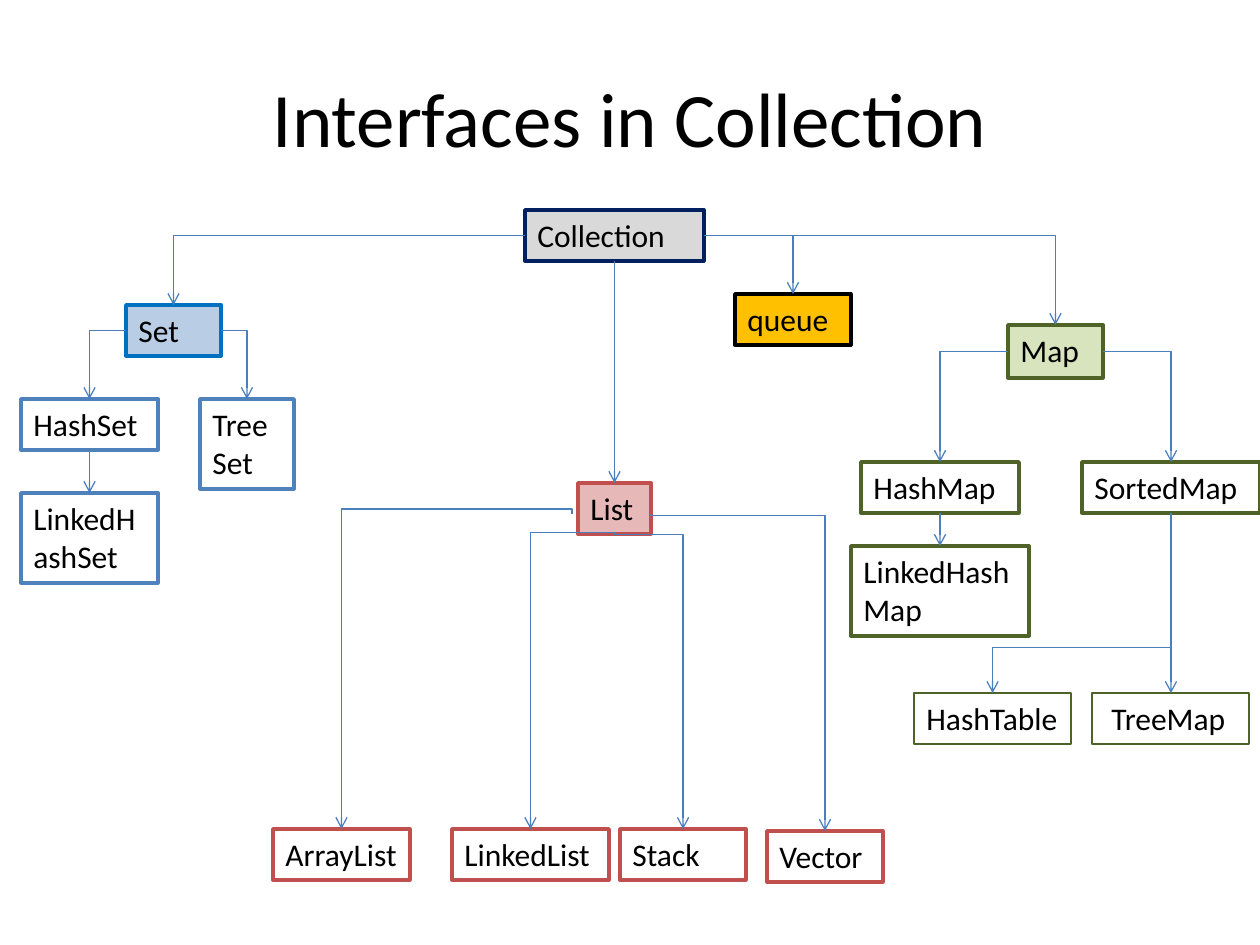
import pptx
import pptx.dml.color
import pptx.enum.shapes
import pptx.enum.text
import pptx.oxml
import pptx.oxml.ns
import pptx.util

RGB = pptx.dml.color.RGBColor
BLACK = RGB(0x00, 0x00, 0x00)
WHITE = RGB(0xFF, 0xFF, 0xFF)
GREY = RGB(0xD9, 0xD9, 0xD9)
NAVY = RGB(0x00, 0x20, 0x60)
SKY = RGB(0xB9, 0xCD, 0xE5)
AZURE = RGB(0x00, 0x70, 0xC0)
BLUE = RGB(0x4F, 0x81, 0xBD)
PINK = RGB(0xE6, 0xB9, 0xB8)
RED = RGB(0xC0, 0x50, 0x4D)
LIME = RGB(0xD7, 0xE4, 0xBD)
GREEN = RGB(0x4F, 0x62, 0x28)
GOLD = RGB(0xFF, 0xC0, 0x00)
STEEL = RGB(0x4B, 0x7E, 0xBC)

SCALE = 914400 / 126
LOW, HIGH = 51, 90
THIN, THICK = 0.75, 2

# label, left, top, width, height, fill, line, weight
NODES = [
    ("Collection", 525, 210, 179, LOW, GREY, NAVY, THICK),
    ("Set", 126, 305, 95, LOW, SKY, AZURE, THICK),
    ("List", 578, 483, 73, LOW, PINK, RED, THICK),
    ("Map", 1008, 325, 95, 53, LIME, GREEN, THICK),
    ("queue", 735, 294, 116, LOW, GOLD, BLACK, THICK),
    ("HashSet", 21, 399, 137, LOW, WHITE, BLUE, THICK),
    ("TreeSet", 200, 399, 94, HIGH, WHITE, BLUE, THICK),
    ("LinkedHashSet", 21, 493, 137, HIGH, WHITE, BLUE, THICK),
    ("ArrayList", 273, 829, 137, LOW, WHITE, RED, THICK),
    ("LinkedList", 452, 829, 157, LOW, WHITE, RED, THICK),
    ("Stack", 620, 829, 126, LOW, WHITE, RED, THICK),
    ("Vector", 767, 831, 116, LOW, WHITE, RED, THICK),
    ("HashMap", 861, 462, 158, LOW, WHITE, GREEN, THICK),
    ("SortedMap", 1082, 462, 178, LOW, WHITE, GREEN, THICK),
    ("LinkedHashMap", 851, 546, 178, HIGH, WHITE, GREEN, THICK),
    ("HashTable", 914, 693, 157, LOW, None, GREEN, THIN),
    (" TreeMap", 1092, 693, 157, LOW, None, GREEN, THIN),
]
BENDS = [
    ("Collection", "Set"), ("Collection", "Map"), ("Collection", "queue"),
    ("Set", "HashSet"), ("Set", "TreeSet"),
    ("Map", "HashMap"), ("Map", "SortedMap"),
]
DROPS = [
    ("Collection", "List"), ("HashSet", "LinkedHashSet"),
    ("HashMap", "LinkedHashMap"), ("SortedMap", " TreeMap"),
]
# start x, start y, child, share of the height where the line turns
FORKS = [
    (572, 514, "ArrayList", -0.016), (651, 514, "Vector", 0.004),
    (614, 534, "Stack", 0.002), (614, 534, "LinkedList", -0.005),
    (1171, 513, "HashTable", 0.748),
]


def px(num):
    """Turn pixels into EMU."""
    return pptx.util.Emu(round(num * SCALE))


def style(item, form):
    """Set each attribute in form on item."""
    for key, val in form.items():
        setattr(item, key, val)


def write(shape, text, size, frame):
    """Put formatted text into a shape."""
    style(shape.text_frame, frame)
    para = shape.text_frame.paragraphs[0]
    run = para.add_run()
    run.text = text
    style(run.font, {"size": pptx.util.Pt(size), "name": "Calibri"})
    run.font.color.rgb = BLACK
    return para


def head(slide, text):
    """Place and fill the title."""
    title = slide.shapes.title
    style(title, {"left": px(63), "top": px(38), "width": px(1134), "height": px(158)})
    para = write(title, text, 44, {"vertical_anchor": pptx.enum.text.MSO_ANCHOR.MIDDLE})
    para.alignment = pptx.enum.text.PP_ALIGN.CENTER


def node(slide, text, left, top, width, height, fill, line, weight):
    """Add one labelled box."""
    kind = pptx.enum.shapes.MSO_SHAPE.RECTANGLE
    box = slide.shapes.add_shape(kind, px(left), px(top), px(width), px(height))
    box.shadow.inherit = False
    if fill is None:
        box.fill.background()
    else:
        box.fill.solid()
        box.fill.fore_color.rgb = fill
    box.line.color.rgb = line
    box.line.width = pptx.util.Pt(weight)
    para = write(box, text, 18, {
        "word_wrap": True,
        "vertical_anchor": pptx.enum.text.MSO_ANCHOR.TOP,
        "auto_size": pptx.enum.text.MSO_AUTO_SIZE.SHAPE_TO_FIT_TEXT,
    })
    para.alignment = pptx.enum.text.PP_ALIGN.LEFT


def arrow(slide, ends, preset="line", turn=0, bend=None):
    """Add an arrow of a preset form, turned by some degrees."""
    kind = pptx.enum.shapes.MSO_CONNECTOR.STRAIGHT
    link = slide.shapes.add_connector(kind, *[px(end) for end in ends])
    link.line.color.rgb = STEEL
    link.line.width = pptx.util.Pt(THIN)
    props = link._element.spPr
    geom = props.find(pptx.oxml.ns.qn("a:prstGeom"))
    geom.set("prst", preset)
    if turn:
        props.find(pptx.oxml.ns.qn("a:xfrm")).set("rot", str(turn * 60000))
    if bend is not None:
        guide = pptx.oxml.parse_xml(
            '<a:gd %s name="adj1" fmla="val %d"/>'
            % (pptx.oxml.ns.nsdecls("a"), round(bend * 100000)))
        geom.find(pptx.oxml.ns.qn("a:avLst")).append(guide)
    tip = '<a:tailEnd %s type="arrow"/>' % pptx.oxml.ns.nsdecls("a")
    props.find(pptx.oxml.ns.qn("a:ln")).append(pptx.oxml.parse_xml(tip))
    plain = "<a:effectLst %s/>" % pptx.oxml.ns.nsdecls("a")
    props.append(pptx.oxml.parse_xml(plain))


def peak(box):
    """Return the middle of a box's top edge."""
    left, top, width = box[:3]
    return left + width / 2, top


def bend(slide, start, goal):
    """Run sideways out of one box, then down to another."""
    left, top, width, height = start
    mid = top + height / 2
    x, y = peak(goal)
    if x < left:
        arrow(slide, (x, y, left, mid), "bentConnector2", 180)
    else:
        arrow(slide, (left + width, mid, x, y), "bentConnector2")


def drop(slide, start, goal):
    """Run straight down from one box to another."""
    x, y = peak(start)
    arrow(slide, (x, y + start[3], x, goal[1]))


def fork(slide, x, y, goal, share):
    """Run down, across and down from a point to a box."""
    far, low = peak(goal)
    midx, midy = (x + far) / 2, (y + low) / 2
    halfw, halfh = (low - y) / 2, abs(far - x) / 2
    turn = 90
    if far > x:
        turn, halfw = 270, -halfw
    ends = (midx - halfw, midy - halfh, midx + halfw, midy + halfh)
    arrow(slide, ends, "bentConnector3", turn, share)


def main():
    """Build the slide and save it."""
    deck = pptx.Presentation()
    style(deck, {"slide_width": px(1260), "slide_height": px(945)})
    slide = deck.slides.add_slide(deck.slide_layouts[5])
    head(slide, "Interfaces in Collection")
    for item in NODES:
        node(slide, *item)
    boxes = {item[0]: item[1:5] for item in NODES}
    for start, goal in BENDS:
        bend(slide, boxes[start], boxes[goal])
    for start, goal in DROPS:
        drop(slide, boxes[start], boxes[goal])
    for x, y, goal, share in FORKS:
        fork(slide, x, y, boxes[goal], share)
    deck.save("out.pptx")


main()
